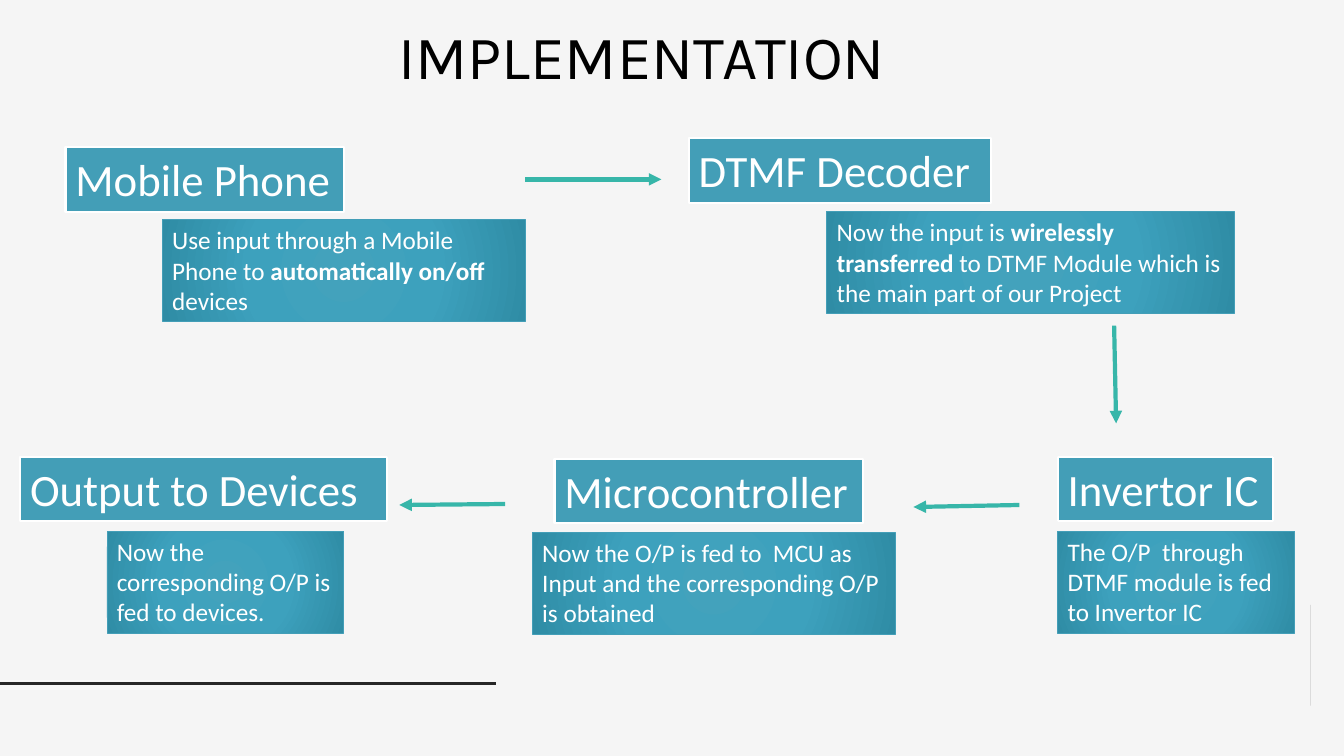
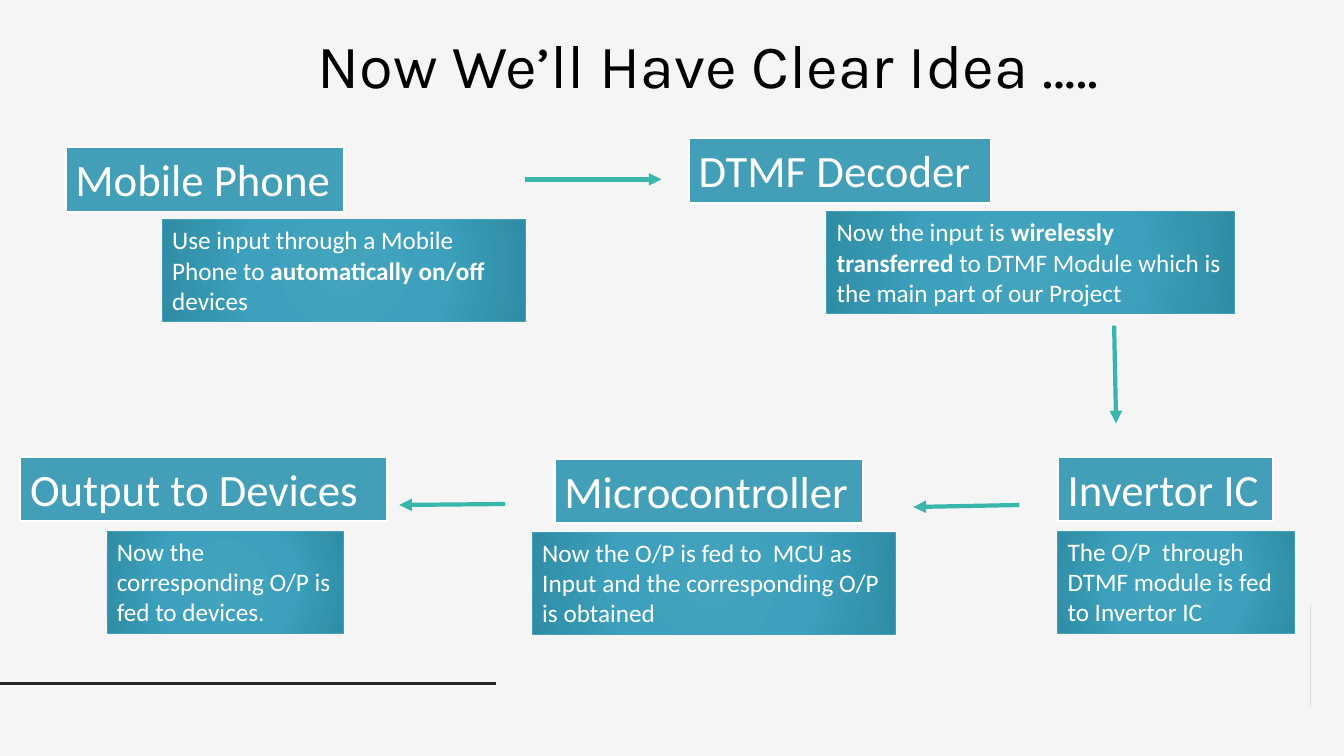
import math
from pptx import Presentation
from pptx import util as u
from pptx.dml.color import RGBColor
from pptx.enum import shapes, text
from pptx.oxml import parse_xml
from pptx.oxml.ns import nsdecls, qn
from lxml import etree

BACKGROUND, DARK, BLACK, WHITE = "F5F5F5", "262626", "000000", "FFFFFF"
BLUE, TEAL = "439EB7", "37B6A9"
GRADIENT = [(0, "43A2BC"), (50, "3DA1BD"), (100, "2F8CA5")]
BODY_FONT, TITLE_FONT = "Calibri", "Karla"
LABEL_HEIGHT, NOTE_HEIGHT, TITLE_HEIGHT = 0.64, 1.01, 0.84

TITLES = [
    ("IMPLEMENTATION", 3.85, 0.13, 5.21),
    ("Now We’ll Have Clear Idea …..", 3.05, 0.22, 7.97),
]
# label and note: left, top, width
STAGES = [
    ("Mobile Phone", (0.65, 1.46, 2.76), (1.61, 2.18, 3.6),
     ["Use input through a Mobile Phone to ", "automatically on/off ", "devices"]),
    ("DTMF Decoder", (6.83, 1.37, 3), (8.2, 2.1, 4.04),
     ["Now the input is ", "wirelessly transferred ",
      "to DTMF Module which is the main part of our Project"]),
    ("Invertor IC", (10.49, 4.53, 2.14), (10.49, 5.27, 2.35),
     ["The O/P  through DTMF module is fed to Invertor IC"]),
    ("Microcontroller", (5.5, 4.55, 3.06), (5.28, 5.28, 3.6),
     ["Now the O/P is fed to  MCU as Input and the corresponding O/P is obtained"]),
    ("Output to Devices", (0.2, 4.53, 3.64), (1.06, 5.27, 2.35),
     ["Now the corresponding O/P is fed to devices."]),
]
ARROWS = [
    (5.21, 1.78, 6.56, 1.78),
    (11.05, 3.23, 11.07, 4.2),
    (10.11, 5.01, 9.06, 5.03),
    (5.01, 5, 3.96, 5.01),
]


def color(value):
    return RGBColor.from_string(value)


def paint(box, fill, line=None, width=0):
    box.shadow.inherit = False
    box.fill.solid()
    box.fill.fore_color.rgb = color(fill)
    if line:
        box.line.color.rgb = color(line)
        box.line.width = u.Pt(width)
    else:
        box.line.fill.background()


def write(box, spans, size, font, fill):
    frame = box.text_frame
    frame.word_wrap = True
    frame.vertical_anchor = text.MSO_ANCHOR.TOP
    para = frame.paragraphs[0]
    para.alignment = text.PP_ALIGN.LEFT
    para.font.size = u.Pt(size)
    para.font.name = font
    para.font.color.rgb = color(fill)
    for index, words in enumerate(spans):
        span = para.add_run()
        span.text = words
        if index % 2:
            span.font.bold = True


def add_box(page, place, height, fill, line, width):
    box = page.shapes.add_shape(
        shapes.MSO_SHAPE.RECTANGLE, *map(u.Inches, (*place, height)))
    paint(box, fill, line, width)
    return box


def add_gradient(box):
    stops = "".join(
        f'<a:gs pos="{position * 1000}"><a:srgbClr val="{value}"/></a:gs>'
        for position, value in GRADIENT)
    gradient = parse_xml(
        f'<a:gradFill {nsdecls("a")} rotWithShape="1"><a:gsLst>{stops}</a:gsLst>'
        '<a:path path="circle"><a:fillToRect l="100000" t="100000" '
        'r="100000" b="100000"/></a:path></a:gradFill>')
    properties = box._element.spPr
    properties.replace(properties.find(qn("a:solidFill")), gradient)


def add_line(page, ends, fill, width, arrow=False):
    line = page.shapes.add_connector(
        shapes.MSO_CONNECTOR.STRAIGHT, *map(u.Inches, ends))
    line.line.color.rgb = color(fill)
    line.line.width = u.Pt(width)
    if arrow:
        etree.SubElement(line.line._get_or_add_ln(), qn("a:tailEnd"), type="triangle")
    etree.SubElement(line._element.spPr, qn("a:effectLst"))


def add_half_disc(page, center_x, center_y, radius, steps=48):
    points = []
    for step in range(steps + 1):
        angle = math.pi / 2 + math.pi * step / steps
        points.append((center_x + radius * math.cos(angle),
                       center_y + radius * math.sin(angle)))
    builder = page.shapes.build_freeform(*points[0], scale=u.Inches(1))
    builder.add_line_segments(points[1:], close=True)
    paint(builder.convert_to_shape(), DARK)


def add_page(deck, title, left, top, width):
    page = deck.slides.add_slide(deck.slide_layouts[6])
    add_half_disc(page, 13.33, 6.33, 0.45)
    add_line(page, (0, 6.78, 4.92, 6.78), DARK, 2)
    heading = page.shapes.add_textbox(
        *map(u.Inches, (left, top, width, TITLE_HEIGHT)))
    write(heading, [title], 44, TITLE_FONT, BLACK)
    for name, label_place, note_place, spans in STAGES:
        label = add_box(page, label_place, LABEL_HEIGHT, BLUE, WHITE, 1.5)
        write(label, [name], 32, BODY_FONT, WHITE)
        note = add_box(page, note_place, NOTE_HEIGHT, BLUE, BLUE, 0.5)
        add_gradient(note)
        write(note, spans, 18, BODY_FONT, WHITE)
    for ends in ARROWS:
        add_line(page, ends, TEAL, 3, arrow=True)


def main():
    deck = Presentation()
    deck.slide_width, deck.slide_height = u.Inches(13.33), u.Inches(7.5)
    backdrop = deck.slide_master.background.fill
    backdrop.solid()
    backdrop.fore_color.rgb = color(BACKGROUND)
    for title in TITLES:
        add_page(deck, *title)
    deck.save("out.pptx")


if __name__ == "__main__":
    main()
